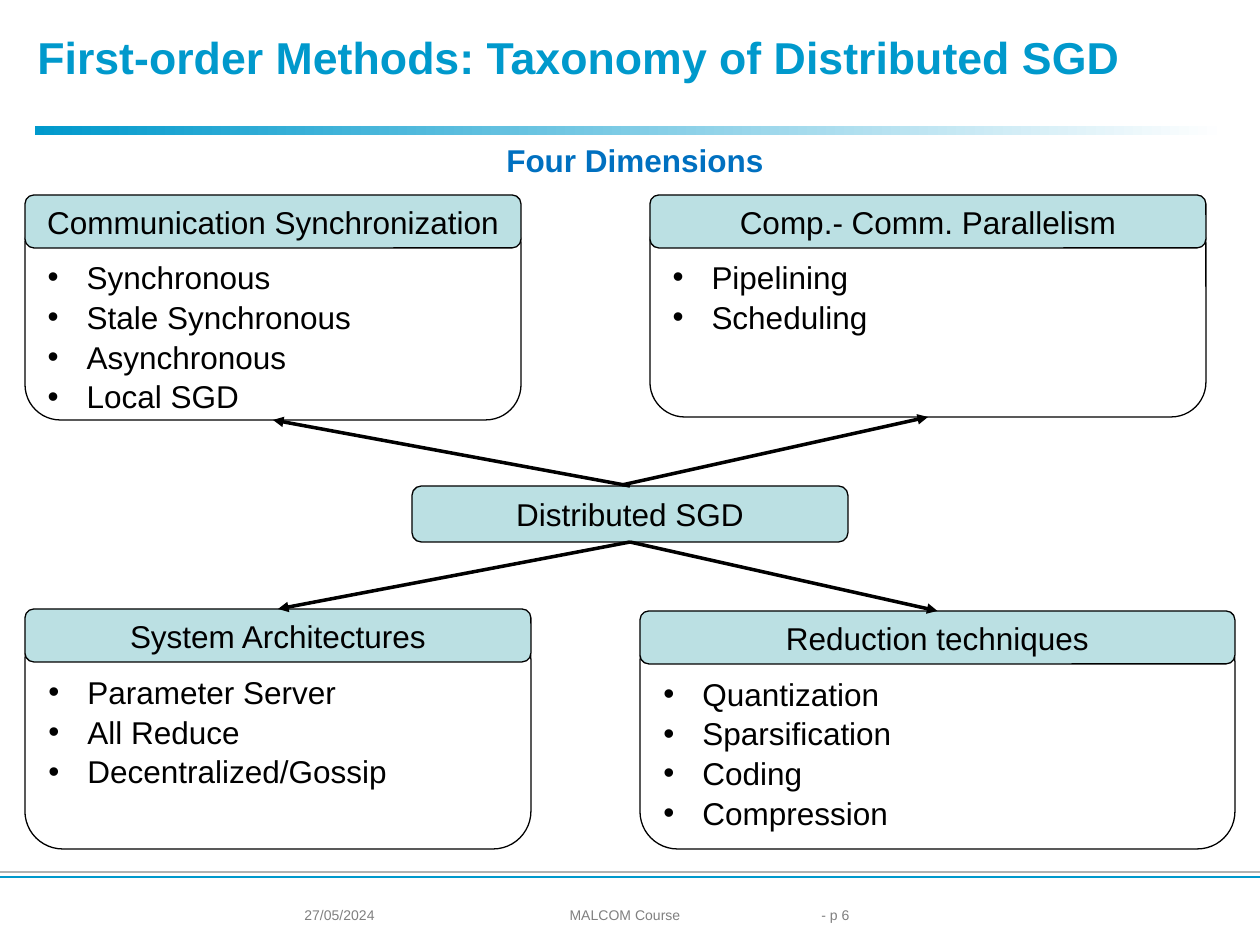
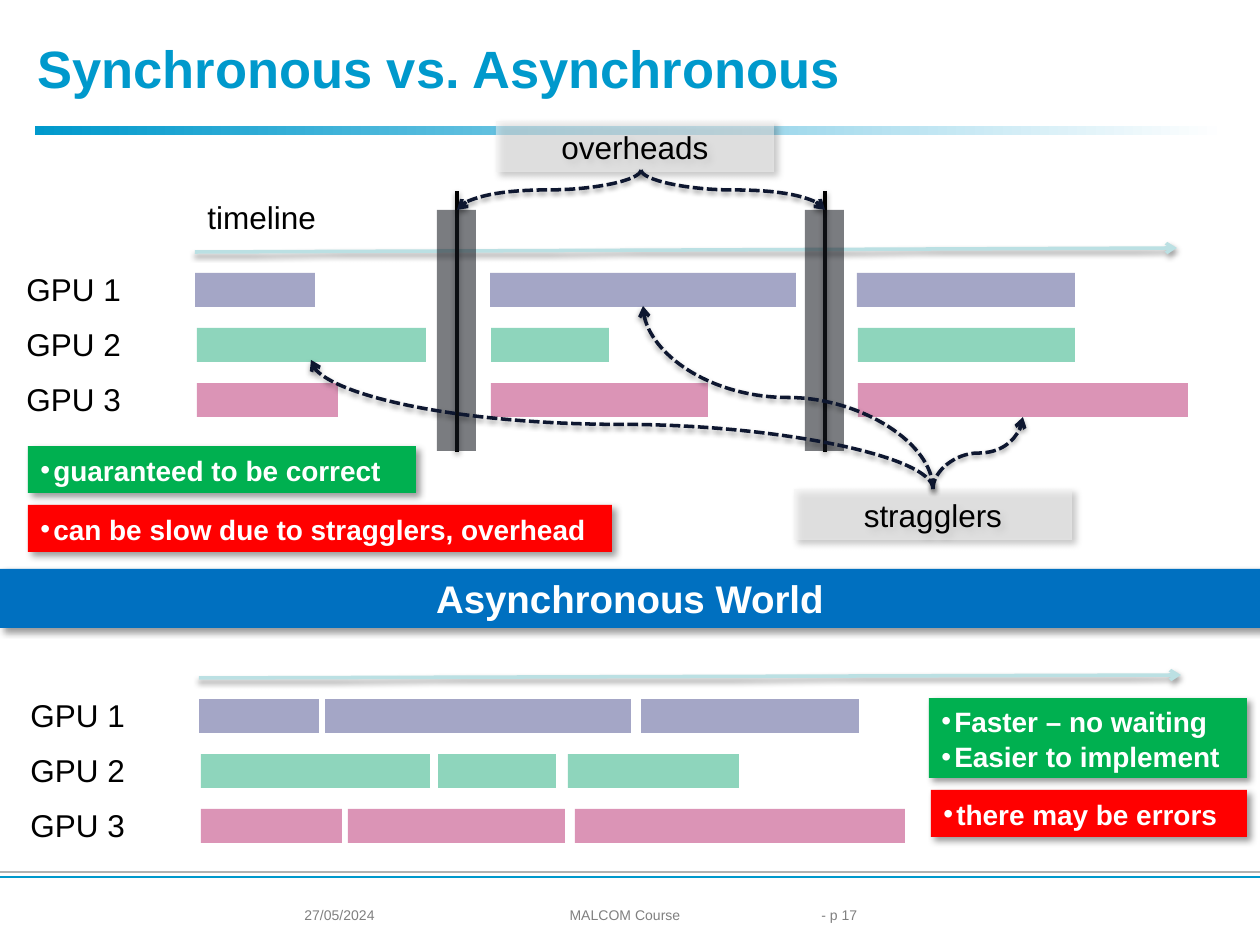
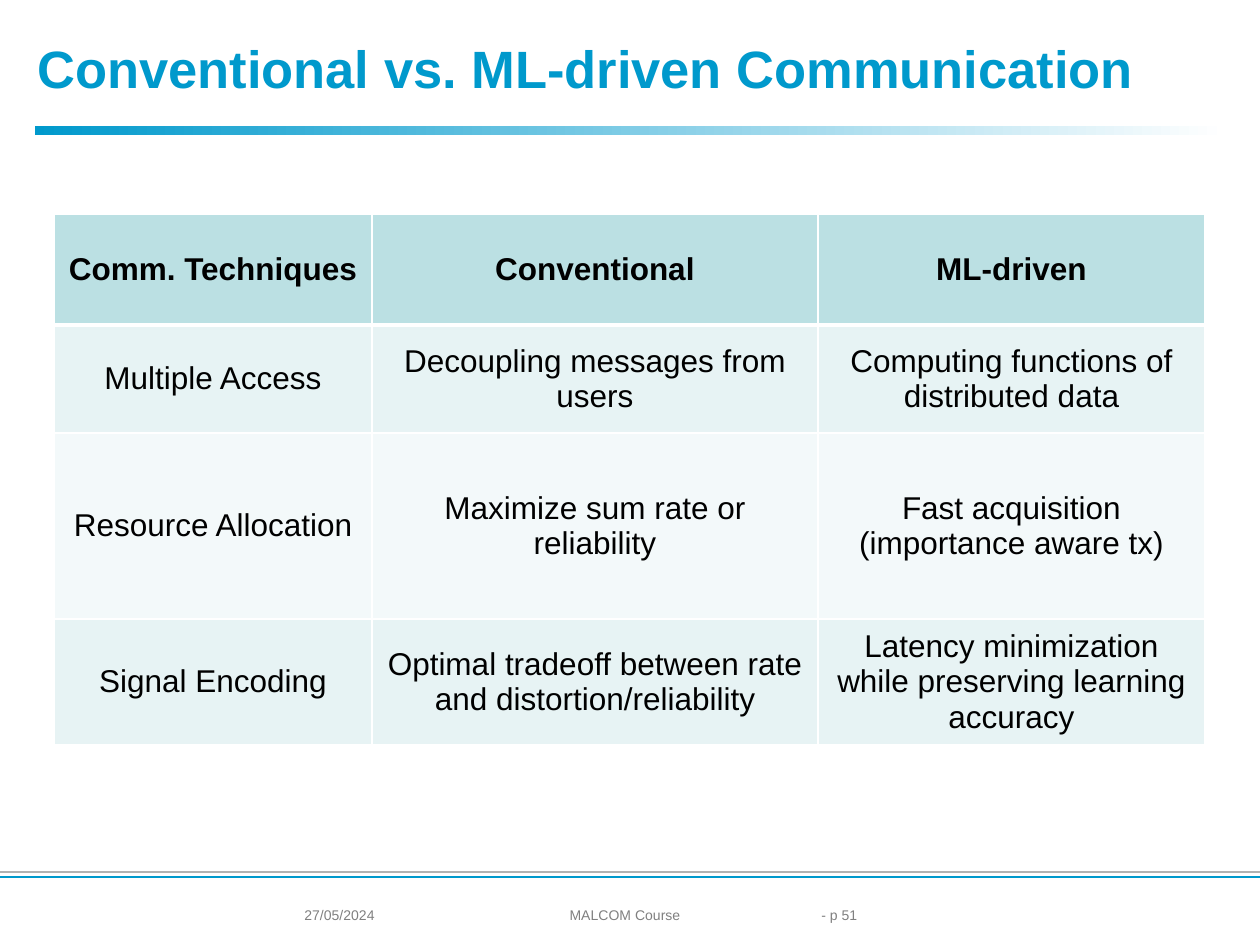
from lxml.etree import SubElement
from pptx import Presentation
from pptx.dml.color import RGBColor
from pptx.enum.dml import MSO_LINE
from pptx.enum.shapes import MSO_CONNECTOR, MSO_SHAPE
from pptx.enum.text import MSO_ANCHOR, PP_ALIGN
from pptx.oxml.ns import qn
from pptx.util import Emu, Pt

# Colours
BLACK = RGBColor(0x00, 0x00, 0x00)
WHITE = RGBColor(0xFF, 0xFF, 0xFF)
GRAY = RGBColor(0x80, 0x80, 0x80)
RULE_GRAY = RGBColor(0xB2, 0xB2, 0xB2)
TITLE_BLUE = RGBColor(0x00, 0x99, 0xCC)
BLUE = RGBColor(0x00, 0x70, 0xC0)
AQUA = RGBColor(0xBB, 0xE0, 0xE3)
ROW_AQUA = RGBColor(0xE7, 0xF3, 0xF4)
ROW_PALE = RGBColor(0xF3, 0xF9, 0xFA)
GREEN = RGBColor(0x00, 0xB0, 0x50)
RED = RGBColor(0xFF, 0x00, 0x00)
NAVY = RGBColor(0x0E, 0x17, 0x30)
BARRIER = RGBColor(0x16, 0x19, 0x20)
PALE_GRAY = RGBColor(0xF2, 0xF2, 0xF2)
LANES = [  # colour and opacity of each GPU lane
    (RGBColor(0x4B, 0x4F, 0x8F), 50),
    (RGBColor(0x3A, 0xB6, 0x8A), 57),
    (RGBColor(0xC1, 0x44, 0x80), 57),
]

# Text formats and shadows (opacity, blur pt, distance pt, angle)
BODY = {"name": "Arial", "size": Pt(18), "bold": False, "color": BLACK}
STRONG = {**BODY, "bold": True}
NOTE = {**STRONG, "size": Pt(16), "color": WHITE}
BAND = {**NOTE, "size": Pt(22)}
SUBTITLE = {**STRONG, "color": BLUE}
TITLE = {**STRONG, "size": Pt(30), "color": TITLE_BLUE}
FOOTER = {**BODY, "size": Pt(8), "color": GRAY}
BOX_SHADOW = (40, 4, 3, 45)
LINE_SHADOW = (38, 3.1, 1.6, 90)
LANE_PITCH = 55


def px(length):
    return Emu(round(length * 914400 / 126))


class Deck:
    def __init__(self):
        self.presentation = Presentation()
        self.presentation.slide_width = px(1260)
        self.presentation.slide_height = px(945)
        self.slide = None

    # Shared frame of every slide
    def new_slide(self, title, page, size=30, spacing=1.0):
        self.slide = self.presentation.slides.add_slide(self.presentation.slide_layouts[6])
        bar = self.box((35, 126, 1191, 9))
        bar.fill.gradient()
        bar.fill.gradient_angle = 0
        for stop, color, position in zip(bar.fill.gradient_stops, (TITLE_BLUE, WHITE), (0, 1)):
            stop.color.rgb = color
            stop.position = position
        for y, color in ((872, RULE_GRAY), (877, TITLE_BLUE)):
            self.line((0, y), (1260, y), color, 1.5)
        self.text((25, 30, 1181, 89), title, {**TITLE, "size": Pt(size)}, spacing=spacing)
        self.text((292, 900, 149, 28), "27/05/2024", FOOTER)
        self.text((809, 900, 100, 28), f"- p {page}", FOOTER)
        self.text((451, 900, 348, 28), "MALCOM Course", FOOTER, PP_ALIGN.CENTER)

    # Text
    def fill_text(self, frame, lines, style, align=PP_ALIGN.LEFT, hanging=0, spacing=1.0, indent=0):
        for index, line in enumerate(lines):
            paragraph = frame.add_paragraph() if index else frame.paragraphs[0]
            properties = paragraph._p.get_or_add_pPr()
            properties.set("marL", str(px(hanging + indent)))
            properties.set("indent", str(px(-hanging)))
            if hanging:
                SubElement(properties, qn("a:buFont")).set("typeface", "Arial")
                SubElement(properties, qn("a:buChar")).set("char", "•")
            paragraph.alignment = align
            paragraph.line_spacing = 1.05 if hanging else spacing
            run = paragraph.add_run()
            run.text = line
            for name, value in style.items():
                if name == "color":
                    run.font.color.rgb = value
                else:
                    setattr(run.font, name, value)

    def text(self, area, content, style, align=PP_ALIGN.LEFT, wrap=True, **layout):
        frame = self.slide.shapes.add_textbox(*map(px, area)).text_frame
        frame.word_wrap = wrap
        self.fill_text(frame, [content], style, align, **layout)

    # Shapes
    def effect(self, shape, shadow):
        properties = shape.element.spPr
        effects = properties.find(qn("a:effectLst"))
        if effects is None:
            effects = SubElement(properties, qn("a:effectLst"))
        if shadow:
            opacity, blur, distance, angle = shadow
            outer = SubElement(effects, qn("a:outerShdw"), blurRad=str(Pt(blur)),
                               dist=str(Pt(distance)), dir=str(angle * 60000),
                               algn="tl", rotWithShape="0")
            color = SubElement(outer, qn("a:srgbClr"), val="000000")
            SubElement(color, qn("a:alpha"), val=str(opacity * 1000))

    def box(self, area, fill=None, opacity=100, outline=None, kind=MSO_SHAPE.RECTANGLE, shadow=None):
        shape = self.slide.shapes.add_shape(kind, *map(px, area))
        shape.shadow.inherit = False
        if fill is None:
            shape.fill.background()
        else:
            shape.fill.solid()
            shape.fill.fore_color.rgb = fill
            if opacity < 100:
                color = shape.element.spPr.find(qn("a:solidFill"))[0]
                SubElement(color, qn("a:alpha"), val=str(opacity * 1000))
        if outline is None:
            shape.line.fill.background()
        else:
            shape.line.color.rgb = outline
            shape.line.width = Pt(0.75)
        self.effect(shape, shadow)
        return shape

    def label(self, area, lines, style, fill, align=PP_ALIGN.CENTER, hanging=0, **look):
        frame = self.box(area, fill, **look).text_frame
        frame.word_wrap = True
        frame.vertical_anchor = MSO_ANCHOR.MIDDLE
        self.fill_text(frame, lines, style, align, hanging)
        return frame

    def rounded(self, area, lines, fill=AQUA, **look):
        return self.label(area, lines, BODY, fill, outline=BLACK,
                          kind=MSO_SHAPE.ROUNDED_RECTANGLE, **look)

    def card(self, left, top, width, bottom, heading, items):
        panel = self.rounded((left, top + 13, width, bottom - top - 13), items, None,
                             align=PP_ALIGN.LEFT, hanging=39)
        panel.vertical_anchor = MSO_ANCHOR.TOP
        panel.margin_top = px(38)
        self.rounded((left, top, width, 53), [heading])

    def note(self, area, lines, fill):
        self.label(area, lines, NOTE, fill, PP_ALIGN.LEFT, hanging=13, shadow=BOX_SHADOW)

    # Lines
    def line(self, start, end, color=BLACK, width=2, head=None, shadow=None,
             kind=MSO_CONNECTOR.STRAIGHT, dash=None):
        connector = self.slide.shapes.add_connector(kind, *map(px, (*start, *end)))
        connector.line.color.rgb = color
        connector.line.width = Pt(width)
        if dash:
            connector.line.dash_style = dash
        if head:
            SubElement(connector.line._get_or_add_ln(), qn("a:tailEnd"), type=head)
        self.effect(connector, shadow)
        return connector

    def curve(self, start, end):
        """Dashed arrow that leaves and arrives vertically: a quarter-turned connector."""
        (x1, y1), (x2, y2) = start, end
        middle_x, middle_y = (x1 + x2) / 2, (y1 + y2) / 2
        half_x, half_y = (x2 - x1) / 2, (y2 - y1) / 2
        connector = self.line((middle_x + half_y, middle_y - half_x),
                              (middle_x - half_y, middle_y + half_x),
                              NAVY, 2, "arrow", LINE_SHADOW, MSO_CONNECTOR.CURVE,
                              MSO_LINE.SQUARE_DOT)
        connector.element.spPr.find(qn("a:xfrm")).set("rot", str(270 * 60000))

    # GPU lanes under a time arrow
    def timeline(self, left, label_left, top, arrow_y, lanes):
        start, end = arrow_y
        self.line((left, start), (left + 982, end), AQUA, 2, "arrow", LINE_SHADOW)
        for index, ((color, opacity), bars) in enumerate(zip(LANES, lanes)):
            lane_top = top + index * LANE_PITCH
            self.text((label_left, lane_top - 9, 121, 50), f"GPU {index + 1}", BODY, wrap=False)
            for bar_left, width in bars:
                self.box((bar_left, lane_top, width, 34), color, opacity)

    # Table
    def table(self, area, widths, heights, rows):
        table = self.slide.shapes.add_table(len(rows), len(widths), *map(px, area)).table
        for column, width in zip(table.columns, widths):
            column.width = px(width)
        for index, (row, height, texts) in enumerate(zip(table.rows, heights, rows)):
            row.height = px(height)
            fill = (ROW_AQUA if index % 2 else ROW_PALE) if index else AQUA
            for cell, content in zip(row.cells, texts):
                cell.vertical_anchor = MSO_ANCHOR.MIDDLE
                self.fill_text(cell.text_frame, [content], BODY if index else STRONG,
                               PP_ALIGN.CENTER)
                top, bottom = {0: (1, 3), 1: (3, 1)}.get(index, (1, 1))
                self.borders(cell, {"lnL": 1, "lnR": 1, "lnT": top, "lnB": bottom})
                cell.fill.solid()
                cell.fill.fore_color.rgb = fill

    def borders(self, cell, widths):
        properties = cell._tc.get_or_add_tcPr()
        for side, width in widths.items():
            border = SubElement(properties, qn(f"a:{side}"), w=str(Pt(width)))
            fill = SubElement(border, qn("a:solidFill"))
            SubElement(fill, qn("a:srgbClr"), val=str(WHITE))


def taxonomy_slide(deck):
    deck.new_slide("First-order Methods: Taxonomy of Distributed SGD", 6, 25.5, 0.9)
    deck.text((-39, 135, 1285, 89), "Four Dimensions", SUBTITLE, PP_ALIGN.CENTER, indent=63)
    deck.rounded((412, 486, 436, 56), ["Distributed SGD"])
    cards = [  # left, top, width, bottom, heading, items, arrow start
        (640, 611, 595, 849, "Reduction techniques",
         ["Quantization", "Sparsification", "Coding", "Compression"], (630, 542)),
        (25, 609, 506, 849, "System Architectures",
         ["Parameter Server", "All Reduce", "Decentralized/Gossip"], (630, 542)),
        (25, 195, 496, 420, "Communication Synchronization",
         ["Synchronous", "Stale Synchronous", "Asynchronous", "Local SGD"], (630, 486)),
        (650, 195, 556, 417, "Comp.- Comm. Parallelism",
         ["Pipelining", "Scheduling"], (622, 485)),
    ]
    for left, top, width, bottom, heading, items, start in cards:
        deck.card(left, top, width, bottom, heading, items)
        near_edge = top if top > start[1] else bottom
        deck.line(start, (left + width / 2, near_edge), head="triangle")


def timeline_slide(deck):
    deck.new_slide("Synchronous vs. Asynchronous", 17)

    # Both timelines
    deck.timeline(199, 18, 699, (678, 675), [
        [(199, 120), (325, 306), (641, 218)],
        [(201, 229), (438, 118), (568, 171)],
        [(201, 141), (348, 217), (575, 330)],
    ])
    deck.timeline(195, 14, 273, (252, 248), [
        [(195, 120), (490, 306), (857, 218)],
        [(197, 229), (491, 118), (858, 217)],
        [(197, 141), (491, 217), (858, 330)],
    ])
    deck.text((195, 192, 135, 50), "timeline", BODY, wrap=False)

    # Barriers, band and callouts
    barriers = (457, 825)
    for x in barriers:
        deck.line((x, 191), (x, 452), shadow=LINE_SHADOW)
        deck.box((x - 20, 210, 39, 241), BARRIER, 57)
    deck.label((0, 569, 1260, 59), ["Asynchronous World"], BAND, BLUE, shadow=BOX_SHADOW)
    for left, top, content in ((496, 121, "overheads"), (794, 489, "stragglers")):
        deck.label((left, top, 278, 51), [content], BODY, PALE_GRAY, opacity=54, shadow=BOX_SHADOW)
    for end in ((1023, 417), (311, 360), (643, 306)):
        deck.curve((933, 489), end)
    for x in barriers:
        deck.curve((641, 170), (x, 210))

    # Advantages and drawbacks
    deck.note((929, 698, 318, 80), ["Faster – no waiting", "Easier to implement"], GREEN)
    deck.note((931, 790, 316, 47), ["there may be errors"], RED)
    deck.note((28, 505, 584, 47), ["can be slow due to stragglers, overhead"], RED)
    deck.note((28, 446, 388, 47), ["guaranteed to be correct"], GREEN)


def comparison_slide(deck):
    deck.new_slide("Conventional vs. ML-driven Communication", 51)
    deck.table((54, 214, 1151, 513), (318, 446, 387), (111, 108, 186, 108), [
        ("Comm. Techniques", "Conventional", "ML-driven"),
        ("Multiple Access", "Decoupling messages from users",
         "Computing functions of distributed data"),
        ("Resource Allocation", "Maximize sum rate or reliability",
         "Fast acquisition (importance aware tx)"),
        ("Signal Encoding", "Optimal tradeoff between rate and distortion/reliability",
         "Latency minimization while preserving learning accuracy"),
    ])


def main():
    deck = Deck()
    taxonomy_slide(deck)
    timeline_slide(deck)
    comparison_slide(deck)
    deck.presentation.save("out.pptx")


if __name__ == "__main__":
    main()
